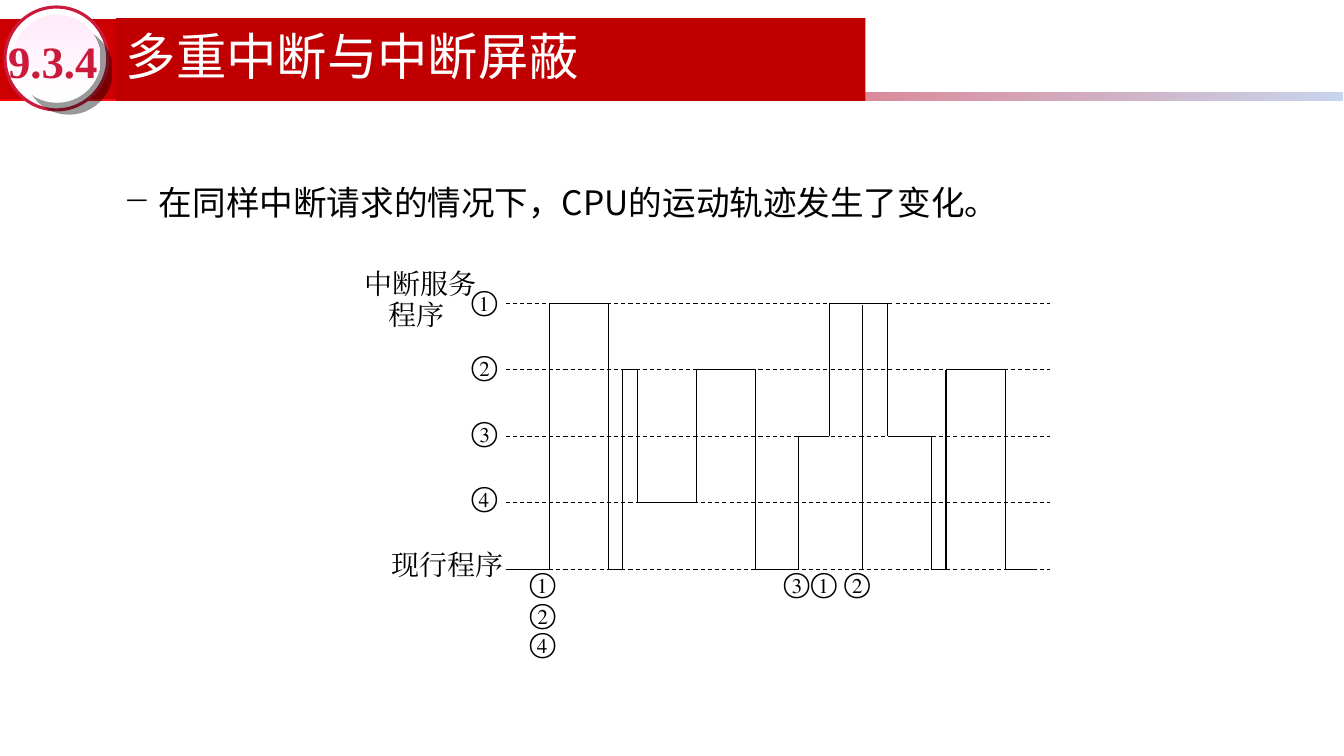
from itertools import pairwise

from lxml.etree import SubElement
from pptx import Presentation
from pptx.dml.color import RGBColor
from pptx.enum.dml import MSO_LINE
from pptx.enum.shapes import MSO_CONNECTOR, MSO_SHAPE
from pptx.enum.text import MSO_ANCHOR, PP_ALIGN
from pptx.oxml.ns import qn
from pptx.util import Inches, Pt

SANS = "Noto Sans CJK SC"
SERIF = "Times New Roman"
BLACK = "000000"
LEVELS = {"①": 3.01, "②": 3.67, "③": 4.33, "④": 4.99, "现行": 5.65}
TRACK = [
    (5.02, "现行"), (5.45, "①"), (6.04, "现行"), (6.18, "②"),
    (6.33, "④"), (6.91, "②"), (7.5, "现行"), (7.93, "③"),
    (8.23, "①"), (8.81, "③"), (9.25, "现行"), (9.39, "②"),
    (9.98, "现行"),
]
TRACK_END = 10.27
REQUESTS = [
    ("①", 5.16, 5.56), ("②", 5.16, 5.87), ("④", 5.16, 6.16),
    ("③", 7.68, 5.56), ("①", 7.95, 5.56), ("②", 8.28, 5.56),
]


def color(value):
    return RGBColor.from_string(value)


def apply(target, values):
    for name, value in values.items():
        setattr(target, name, value)


def add_block(slide, kind, box, fill, angle=0, outline=None):
    shape = slide.shapes.add_shape(kind, *map(Inches, box))
    shape.shadow.inherit = False
    if isinstance(fill, tuple):
        shape.fill.gradient()
        shape.fill.gradient_angle = angle
        for stop, value in zip(shape.fill.gradient_stops, fill):
            stop.color.rgb = color(value)
    else:
        shape.fill.solid()
        shape.fill.fore_color.rgb = color(fill)
    if outline:
        shape.line.color.rgb = color(outline)
        shape.line.width = Pt(2.25)
    else:
        shape.line.fill.background()
    return shape


def add_drop_shadow(shape):
    effects = shape._element.spPr.find(qn("a:effectLst"))
    shadow = SubElement(effects, qn("a:outerShdw"), blurRad="0",
                        dist=str(Pt(12.1)), dir="2700000",
                        algn="ctr", rotWithShape="0")
    tone = SubElement(shadow, qn("a:srgbClr"), val=BLACK)
    SubElement(tone, qn("a:alpha"), val="40000")


def add_bullet(paragraph, character):
    properties = paragraph._p.get_or_add_pPr()
    properties.set("marL", str(Inches(0.56)))
    properties.set("indent", str(Inches(-0.35)))
    bullet_color = SubElement(properties, qn("a:buClr"))
    SubElement(bullet_color, qn("a:srgbClr"), val=BLACK)
    SubElement(properties, qn("a:buChar"), char=character)


def write(paragraph, text, size, font, fill=BLACK, bold=False):
    run = paragraph.add_run()
    run.text = text
    apply(run.font, {"size": Pt(size), "name": font, "bold": bold})
    run.font.color.rgb = color(fill)
    SubElement(run._r.get_or_add_rPr(), qn("a:ea"), typeface=font)


def add_text_box(slide, box):
    frame = slide.shapes.add_textbox(*map(Inches, box)).text_frame
    frame.word_wrap = True
    return frame


def add_label(slide, text, left, top, width=1.46):
    frame = add_text_box(slide, (left, top, width, 0.44))
    write(frame.paragraphs[0], text, 20, SERIF)
    return frame


def add_line(slide, start, end, width=0.75, dash=None):
    line = slide.shapes.add_connector(
        MSO_CONNECTOR.STRAIGHT, *map(Inches, (*start, *end)))
    apply(line.line, {"width": Pt(width), "dash_style": dash})
    line.line.color.rgb = color(BLACK)
    SubElement(line._element.spPr, qn("a:effectLst"))


def add_header(slide):
    add_block(slide, MSO_SHAPE.RECTANGLE, (0, 0.92, 13.33, 0.08),
              ("FF0000", "C7D5ED"), 315)
    add_block(slide, MSO_SHAPE.RECTANGLE, (0, 0.19, 7.3, 0.79), "CC0000")
    add_block(slide, MSO_SHAPE.OVAL, (0.05, 0.07, 1.02, 1.02), "FFFFFF",
              outline="CB1B3D")
    badge = add_block(slide, MSO_SHAPE.OVAL, (0.13, 0.15, 0.87, 0.87),
                      ("FFFFFF", "FFEBFA"), 90)
    add_drop_shadow(badge)

    title = add_block(slide, MSO_SHAPE.RECTANGLE, (1.15, 0.18, 7.44, 0.82),
                      "C00000").text_frame
    title.vertical_anchor = MSO_ANCHOR.MIDDLE
    apply(title.paragraphs[0],
          {"alignment": PP_ALIGN.LEFT, "line_spacing": 0.9})
    write(title.paragraphs[0], "多重中断与中断屏蔽", 36, SANS, "FFFFFF")

    number = add_text_box(slide, (0.08, 0.33, 0.93, 0.54))
    apply(number, {"vertical_anchor": MSO_ANCHOR.MIDDLE, "word_wrap": False,
                   "margin_left": 0, "margin_right": 0,
                   "margin_top": 0, "margin_bottom": 0})
    write(number.paragraphs[0], "9.3.4", 32, SERIF, "CB1B3D", True)


def add_statement(slide):
    paragraph = add_text_box(slide, (0.92, 1.36, 11.5, 5.44)).paragraphs[0]
    add_bullet(paragraph, "−")
    apply(paragraph, {"alignment": PP_ALIGN.JUSTIFY, "line_spacing": 2.0})
    write(paragraph, "在同样中断请求的情况下，CPU的运动轨迹发生了变化。", 24, SANS)


def add_track(slide):
    for height in LEVELS.values():
        add_line(slide, (5.02, height), (10.42, height), dash=MSO_LINE.DASH)
    corners = []
    ends = [left for left, level in TRACK[1:]] + [TRACK_END]
    for (left, level), right in zip(TRACK, ends):
        corners += [(left, LEVELS[level]), (right, LEVELS[level])]
    for start, end in pairwise(corners):
        add_line(slide, start, end)
    add_line(slide, (8.56, 3.03), (8.56, 5.65), width=0.5)


def add_labels(slide):
    service = add_label(slide, "中断服务", 3.52, 2.59, 1.53)
    second = service.add_paragraph()
    apply(second, {"line_spacing": 0.3, "space_before": Pt(12.5)})
    second._p.get_or_add_pPr().set("marL", str(Inches(0.24)))
    write(second, "程序", 20, SERIF)
    add_label(slide, "现行程序", 3.79, 5.38, 1.53)
    for row, mark in enumerate("①②③④"):
        add_label(slide, mark, 4.58, 2.76 + 0.65 * row)
    for mark, left, top in REQUESTS:
        add_label(slide, mark, left, top)


def main():
    presentation = Presentation()
    apply(presentation, {"slide_width": Inches(13.34),
                         "slide_height": Inches(7.5)})
    slide = presentation.slides.add_slide(presentation.slide_layouts[6])
    add_header(slide)
    add_statement(slide)
    add_track(slide)
    add_labels(slide)
    presentation.save("out.pptx")


if __name__ == "__main__":
    main()
